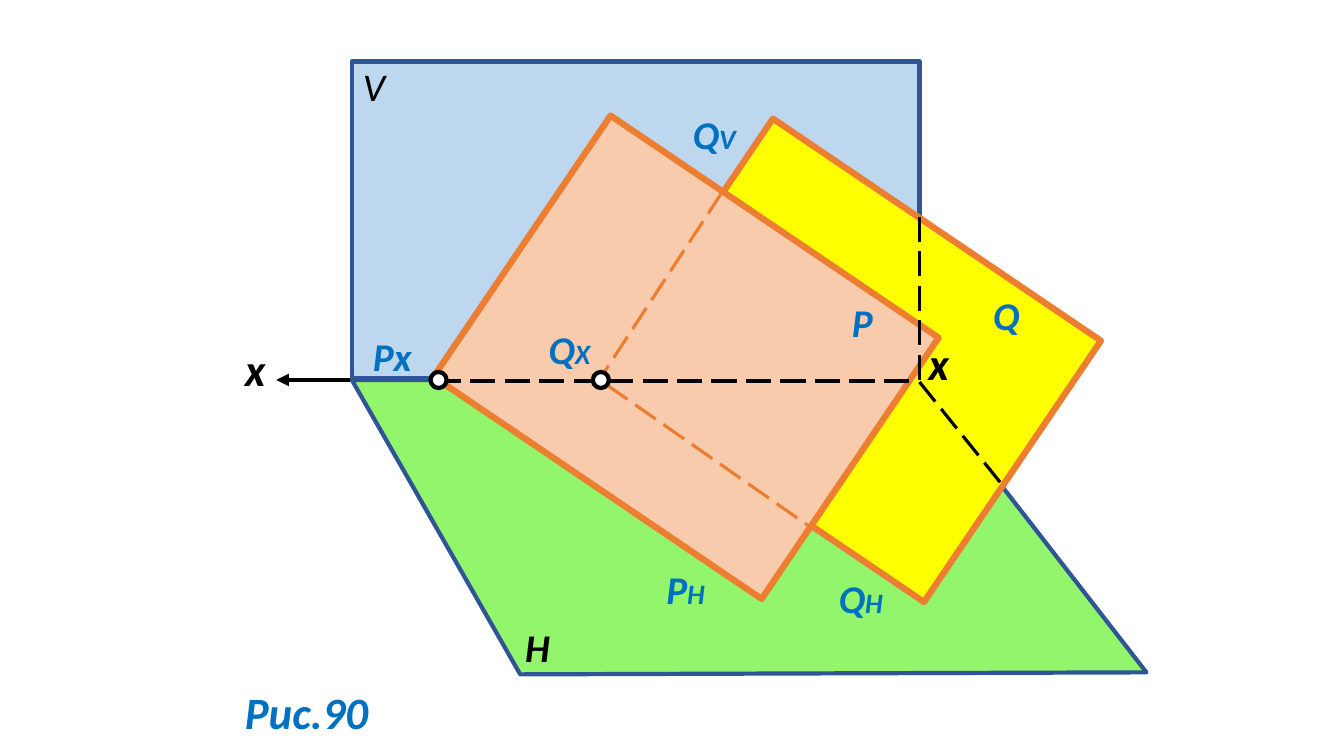
from collections import namedtuple

from lxml.etree import SubElement
from pptx import Presentation
from pptx.dml.color import RGBColor
from pptx.enum.dml import MSO_LINE_DASH_STYLE as Dash
from pptx.enum.shapes import MSO_CONNECTOR as Connector, MSO_SHAPE as Shape
from pptx.enum.text import MSO_AUTO_SIZE as AutoSize
from pptx.oxml.ns import qn
from pptx.util import Inches, Pt

BLACK = RGBColor(0x00, 0x00, 0x00)
WHITE = RGBColor(0xFF, 0xFF, 0xFF)
BLUE = RGBColor(0x00, 0x70, 0xC0)
NAVY = RGBColor(0x2F, 0x55, 0x97)
SKY = RGBColor(0xBD, 0xD7, 0xEE)
GREEN = RGBColor(0x92, 0xF5, 0x6B)
YELLOW = RGBColor(0xFF, 0xFF, 0x00)
PEACH = RGBColor(0xF8, 0xCB, 0xAD)
ORANGE = RGBColor(0xED, 0x7D, 0x31)

Box = namedtuple("Box", "left top")
FIGURE = Box(2.33, 0.61)
PLANE_WIDTH, PLANE_HEIGHT, PLANE_ANGLE = 3.93, 3.13, 34.1
POINT_SIZE = 0.16
LABEL_SIZE, INDEX_SIZE, LARGE_SIZE = 28, 20, 32
TEXT_HEIGHTS = {LABEL_SIZE: 0.57, LARGE_SIZE: 0.64}


def locate(box, x, y):
    """Return the slide position of a point given relative to the box."""
    return Inches(box.left + x), Inches(box.top + y)


def paint(shape, fill, outline, width):
    """Give a shape a flat fill and outline."""
    shape.shadow.inherit = False
    shape.fill.solid()
    shape.fill.fore_color.rgb = fill
    shape.line.color.rgb = outline
    shape.line.width = Pt(width)


def add_figure(slide, box, kind, position, size, look, rotation=0):
    """Add a preset shape relative to the box."""
    width, height = size
    shape = slide.shapes.add_shape(
        kind, *locate(box, *position), Inches(width), Inches(height))
    shape.rotation = rotation
    paint(shape, *look)


def add_line(slide, box, start, end, color, width, dash=None):
    """Add a straight line relative to the box."""
    line = slide.shapes.add_connector(
        Connector.STRAIGHT, *locate(box, *start), *locate(box, *end))
    line.line.color.rgb = color
    line.line.width = Pt(width)
    if dash:
        line.line.dash_style = dash
    SubElement(line._element.spPr, qn("a:effectLst"))
    return line


def add_label(slide, box, position, width, text, index="", **changes):
    """Add a letter with an optional smaller index."""
    style = {"name": "Calibri", "size": LABEL_SIZE, "bold": True,
             "italic": True, "color": BLUE, **changes}
    color, size = style.pop("color"), style.pop("size")
    label = slide.shapes.add_textbox(
        *locate(box, *position), Inches(width), Inches(TEXT_HEIGHTS[size]))
    frame = label.text_frame
    frame.word_wrap = True
    frame.auto_size = AutoSize.SHAPE_TO_FIT_TEXT
    for content, points in ((text, size), (index, INDEX_SIZE)):
        if content:
            run = frame.paragraphs[0].add_run()
            run.text = content
            for attribute, value in {**style, "size": Pt(points)}.items():
                setattr(run.font, attribute, value)
            run.font.color.rgb = color


def draw_projection_planes(slide, box):
    """Draw the x axis and the planes V and H."""
    axis = add_line(slide, box, (0.41, 3.16), (6.8, 3.16), BLACK, 3)
    arrow = SubElement(axis.line._get_or_add_ln(), qn("a:headEnd"))
    arrow.set("type", "triangle")
    add_figure(slide, box, Shape.RECTANGLE, (1.16, 0), (5.63, 3.14), (SKY, NAVY, 3))
    corners = [locate(box, x, y) for x, y in
               ((1.16, 3.16), (6.79, 3.16), (9.04, 6.06), (2.83, 6.08))]
    outline = slide.shapes.build_freeform(*corners[0])
    outline.add_line_segments(corners[1:], close=True)
    paint(outline.convert_to_shape(), GREEN, NAVY, 3)


def draw_parallel_planes(slide, box):
    """Draw the planes Q and P, the hidden edges and the trace points."""
    for position, fill in (((4.12, 1.4), YELLOW), ((2.51, 1.37), PEACH)):
        add_figure(slide, box, Shape.RECTANGLE, position,
                   (PLANE_WIDTH, PLANE_HEIGHT), (fill, ORANGE, 4.5), PLANE_ANGLE)
    hidden_edges = (
        ((3.69, 3.21), (5.78, 4.67), ORANGE),
        ((4.83, 1.3), (3.58, 3.21), ORANGE),
        ((1.99, 3.17), (6.72, 3.17), BLACK),
        ((6.79, 3.18), (7.61, 4.2), BLACK),
        ((6.79, 1.54), (6.79, 3.18), BLACK),
    )
    for start, end, color in hidden_edges:
        add_line(slide, box, start, end, color, 2.25, Dash.LONG_DASH)
    for x in (1.94, 3.55):
        add_figure(slide, box, Shape.OVAL, (x, 3.08),
                   (POINT_SIZE, POINT_SIZE), (WHITE, BLACK, 3))


def draw_labels(slide, box):
    """Write the names of planes, traces and axis, and the caption."""
    traces = (
        ((1.27, 2.64), 0.89, "Px", ""),
        ((4.18, 4.95), 0.89, "P", "H"),
        ((5.89, 5.04), 0.96, "Q", "H"),
        ((4.44, 0.44), 0.89, "Q", "V"),
        ((3.01, 2.57), 0.89, "Q", "X"),
        ((7.42, 2.23), 0.62, "Q", ""),
        ((6.02, 2.3), 0.63, "P", ""),
    )
    for trace in traces:
        add_label(slide, box, *trace)
    for position in ((0, 2.73), (6.78, 2.67)):
        add_label(slide, box, position, 0.4, "x", size=LARGE_SIZE, color=BLACK)
    add_label(slide, box, (2.78, 5.52), 0.89, "H", color=BLACK)
    add_label(slide, box, (1.17, -0.04), 0.56, "V", color=BLACK, bold=False)
    add_label(slide, box, (0, 6.13), 2.13, "Рис.90", size=LARGE_SIZE)


def main():
    """Build the slide and save it."""
    presentation = Presentation()
    presentation.slide_width = Inches(13.33)
    presentation.slide_height = Inches(7.5)
    slide = presentation.slides.add_slide(presentation.slide_layouts[6])
    for draw in (draw_projection_planes, draw_parallel_planes, draw_labels):
        draw(slide, FIGURE)
    presentation.save("out.pptx")


if __name__ == "__main__":
    main()
